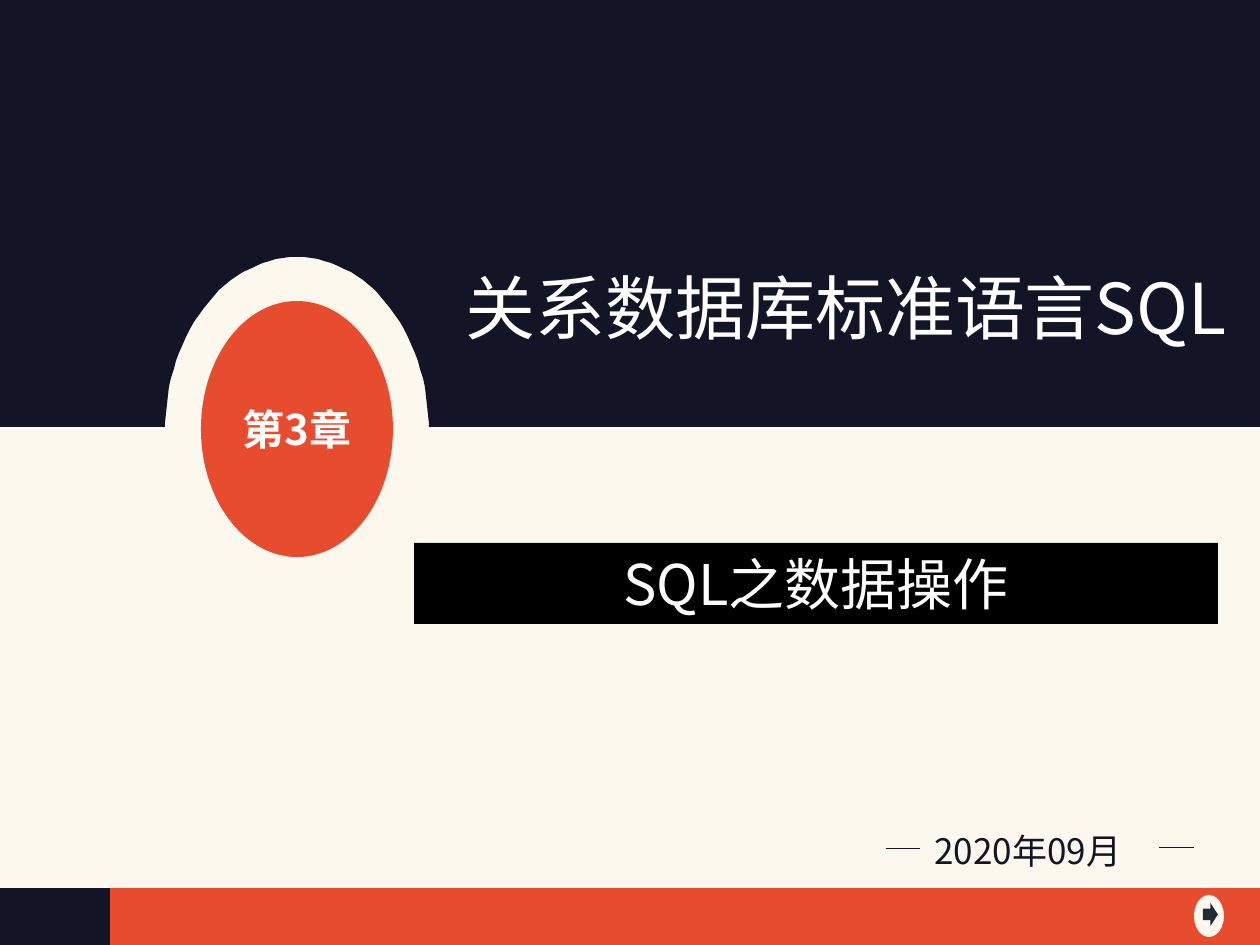
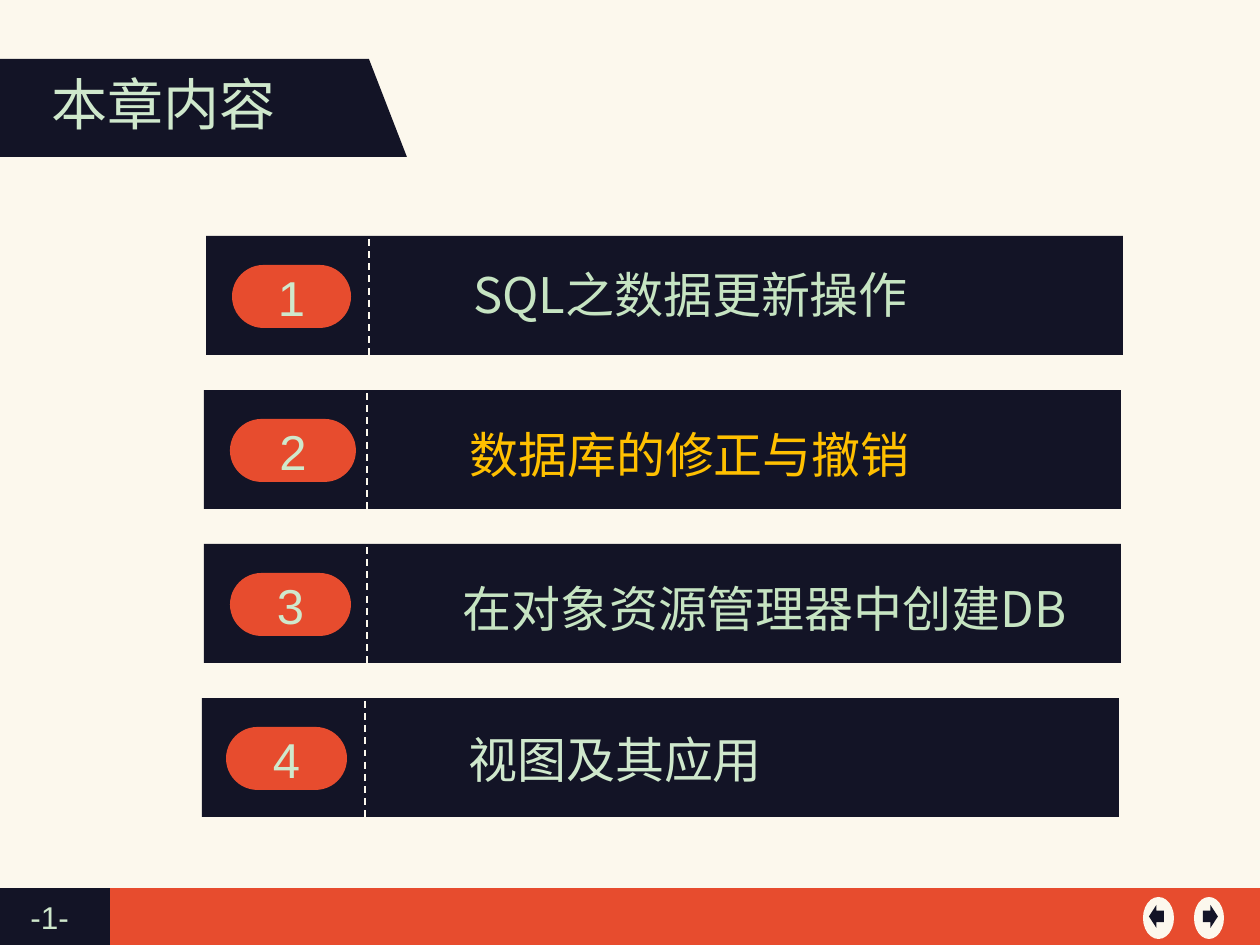
from math import cos, radians, sin

from lxml.etree import SubElement
from pptx import Presentation
from pptx.dml.color import RGBColor
from pptx.enum.dml import MSO_LINE
from pptx.enum.shapes import MSO_CONNECTOR, MSO_SHAPE as SHAPE
from pptx.enum.text import MSO_ANCHOR as ANCHOR, PP_ALIGN as ALIGN
from pptx.oxml.ns import qn
from pptx.util import Pt

PX = 7257  # EMU per pixel, 126 pixels to the inch
WIDTH, HEIGHT = 1260, 945

NAVY = RGBColor(0x13, 0x14, 0x26)
SLATE = RGBColor(0x22, 0x2A, 0x35)
CREAM = RGBColor(0xFC, 0xF8, 0xED)
ORANGE = RGBColor(0xE7, 0x4C, 0x2E)
MINT = RGBColor(0xCF, 0xE8, 0xCC)
GREEN = RGBColor(0xC6, 0xE4, 0xC2)
GOLD = RGBColor(0xFF, 0xC0, 0x00)
WHITE = RGBColor(0xFF, 0xFF, 0xFF)
BLACK = RGBColor(0x00, 0x00, 0x00)

CJK = "Noto Sans CJK SC"
LATIN = "Arial"


def add_box(slide, kind, left, top, width, height, fill):
    shape = slide.shapes.add_shape(kind, left * PX, top * PX, width * PX, height * PX)
    shape.shadow.inherit = False
    shape.fill.solid()
    shape.fill.fore_color.rgb = fill
    shape.line.fill.background()
    return shape


def write(shape, text, size, colour, font=CJK, align=ALIGN.CENTER, anchor=ANCHOR.MIDDLE, bold=False):
    frame = shape.text_frame
    frame.word_wrap = True
    frame.vertical_anchor = anchor
    paragraph = frame.paragraphs[0]
    paragraph.alignment = align
    run = paragraph.add_run()
    run.text = text
    run.font.size = Pt(size)
    run.font.bold = bold
    run.font.name = font
    run.font.color.rgb = colour
    east_asian = SubElement(run.font._element, qn("a:ea"))
    east_asian.set("typeface", font)


presentation = Presentation()
presentation.slide_width = WIDTH * PX
presentation.slide_height = HEIGHT * PX
blank = presentation.slide_layouts[6]
cover = presentation.slides.add_slide(blank)
contents = presentation.slides.add_slide(blank)

# Shared background, footer band and next button
for slide, button_top, arrow_colour in [(cover, 895, SLATE), (contents, 897, NAVY)]:
    slide.background.fill.solid()
    slide.background.fill.fore_color.rgb = CREAM
    add_box(slide, SHAPE.RECTANGLE, 0, 888, WIDTH, 57, ORANGE)
    add_box(slide, SHAPE.RECTANGLE, 0, 888, 110, 57, NAVY)
    add_box(slide, SHAPE.OVAL, 1194, button_top, 30, 42, CREAM)
    add_box(slide, SHAPE.RIGHT_ARROW, 1203, button_top + 8, 15, 23, arrow_colour)

# Cover: navy panel with an arch cut out around the chapter badge
panel_bottom = 427
arch = [(297 + 132 * cos(radians(angle)), min(panel_bottom, 432 - 175 * sin(radians(angle))))
        for angle in range(0, 181, 3)]
builder = cover.shapes.build_freeform(0, 0, scale=PX)
builder.add_line_segments([(WIDTH, 0), (WIDTH, panel_bottom), *arch, (0, panel_bottom)])
panel = builder.convert_to_shape()
panel.shadow.inherit = False
panel.fill.solid()
panel.fill.fore_color.rgb = NAVY
panel.line.fill.background()

badge = add_box(cover, SHAPE.OVAL, 201, 301, 192, 256, ORANGE)
write(badge, "第3章", 24, WHITE, bold=True)
subtitle = add_box(cover, SHAPE.RECTANGLE, 414, 543, 804, 81, BLACK)
write(subtitle, "SQL之数据操作", 32, WHITE)

# Contents: title flag and previous button
add_box(contents, SHAPE.RECTANGLE, 0, 59, 369, 98, NAVY)
add_box(contents, SHAPE.RIGHT_TRIANGLE, 369, 59, 38, 98, NAVY)
add_box(contents, SHAPE.OVAL, 1143, 897, 31, 42, CREAM)
add_box(contents, SHAPE.LEFT_ARROW, 1149, 905, 15, 23, NAVY)

texts = [
    (cover, 452, 258, 788, 183, "关系数据库标准语言SQL", 40, WHITE, CJK, ALIGN.CENTER),
    (cover, 922, 823, 240, 55, "2020年09月", 20, NAVY, CJK, ALIGN.JUSTIFY),
    (contents, 39, 63, 250, 79, "本章内容", 32, MINT, CJK, ALIGN.CENTER),
    (contents, 18, 892, 80, 50, "-1-", 18, MINT, LATIN, ALIGN.LEFT),
]
lines = [
    (cover, 886, 848, 920, 848, NAVY, 0.5, None),
    (cover, 1159, 847, 1194, 847, NAVY, 0.5, None),
]

# Contents: one bar for each section
sections = [
    # bar left, pill left, pill width, text left, text top, text width
    (206, 232, 119, 461, 258, 616, "SQL之数据更新操作", GREEN),
    (204, 230, 126, 457, 418, 674, "数据库的修正与撤销", GOLD),
    (204, 230, 121, 450, 572, 662, "在对象资源管理器中创建DB", GREEN),
    (202, 226, 121, 456, 723, 610, "视图及其应用", MINT),
]
for index, (left, pill_left, pill_width, text_left, text_top, text_width, name, colour) in enumerate(sections):
    top = 236 + 154 * index
    add_box(contents, SHAPE.RECTANGLE, left, top, 917, 119, NAVY)
    pill = add_box(contents, SHAPE.ROUNDED_RECTANGLE, pill_left, top + 29, pill_width, 63, ORANGE)
    pill.adjustments[0] = 0.5
    write(pill, str(index + 1), 28, MINT, LATIN)
    texts.append((contents, text_left, text_top, text_width, 72, name, 28, colour, CJK, ALIGN.LEFT))
    lines.append((contents, left + 163, top + 3, left + 163, top + 124, CREAM, 1, MSO_LINE.DASH))

for slide, left, top, width, height, text, size, colour, font, align in texts:
    box = slide.shapes.add_textbox(left * PX, top * PX, width * PX, height * PX)
    write(box, text, size, colour, font, align, ANCHOR.TOP)

for slide, x1, y1, x2, y2, colour, weight, dash in lines:
    line = slide.shapes.add_connector(MSO_CONNECTOR.STRAIGHT, x1 * PX, y1 * PX, x2 * PX, y2 * PX)
    line.line.color.rgb = colour
    line.line.width = Pt(weight)
    line.line.dash_style = dash
    SubElement(line._element.spPr, qn("a:effectLst"))

presentation.save("out.pptx")
